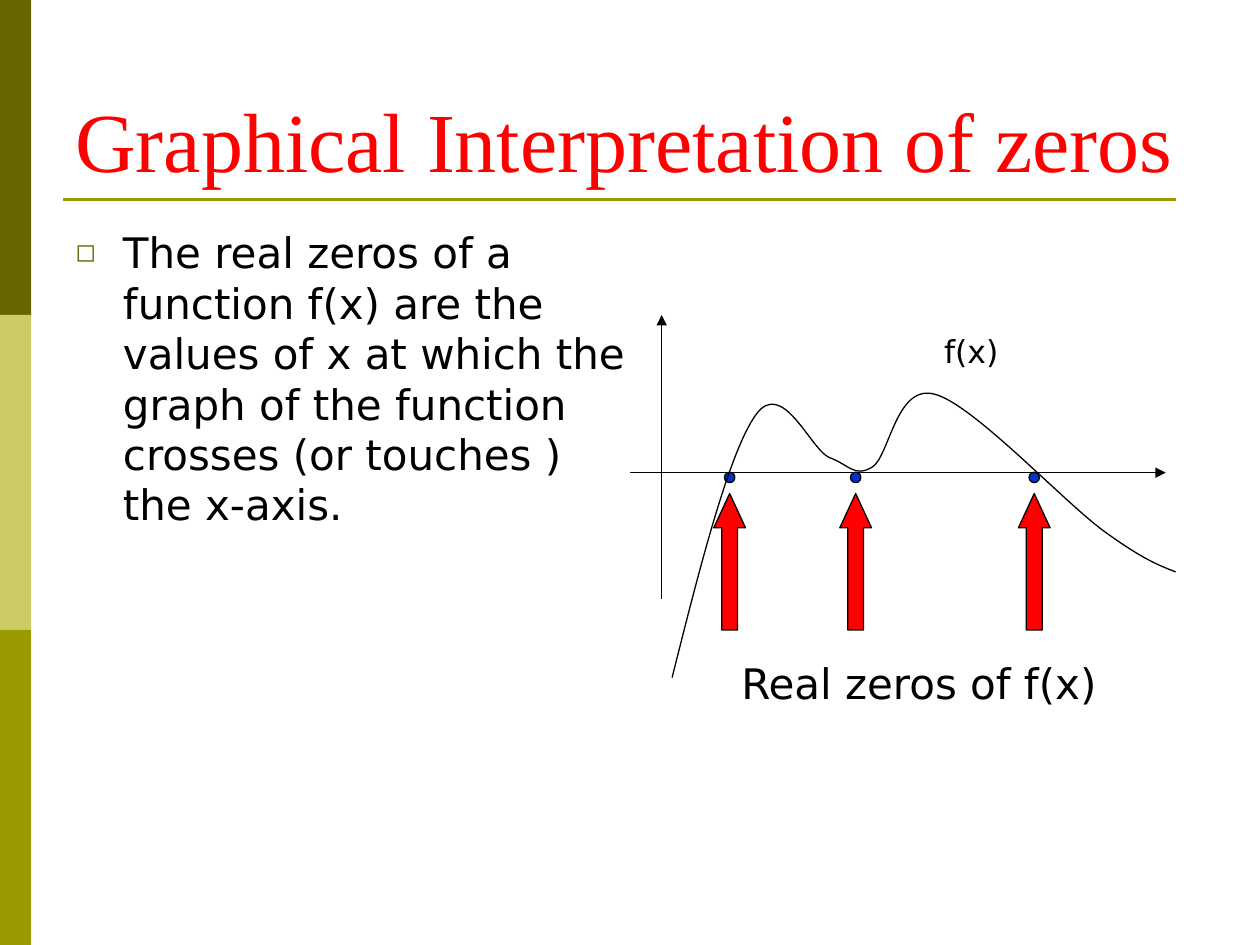
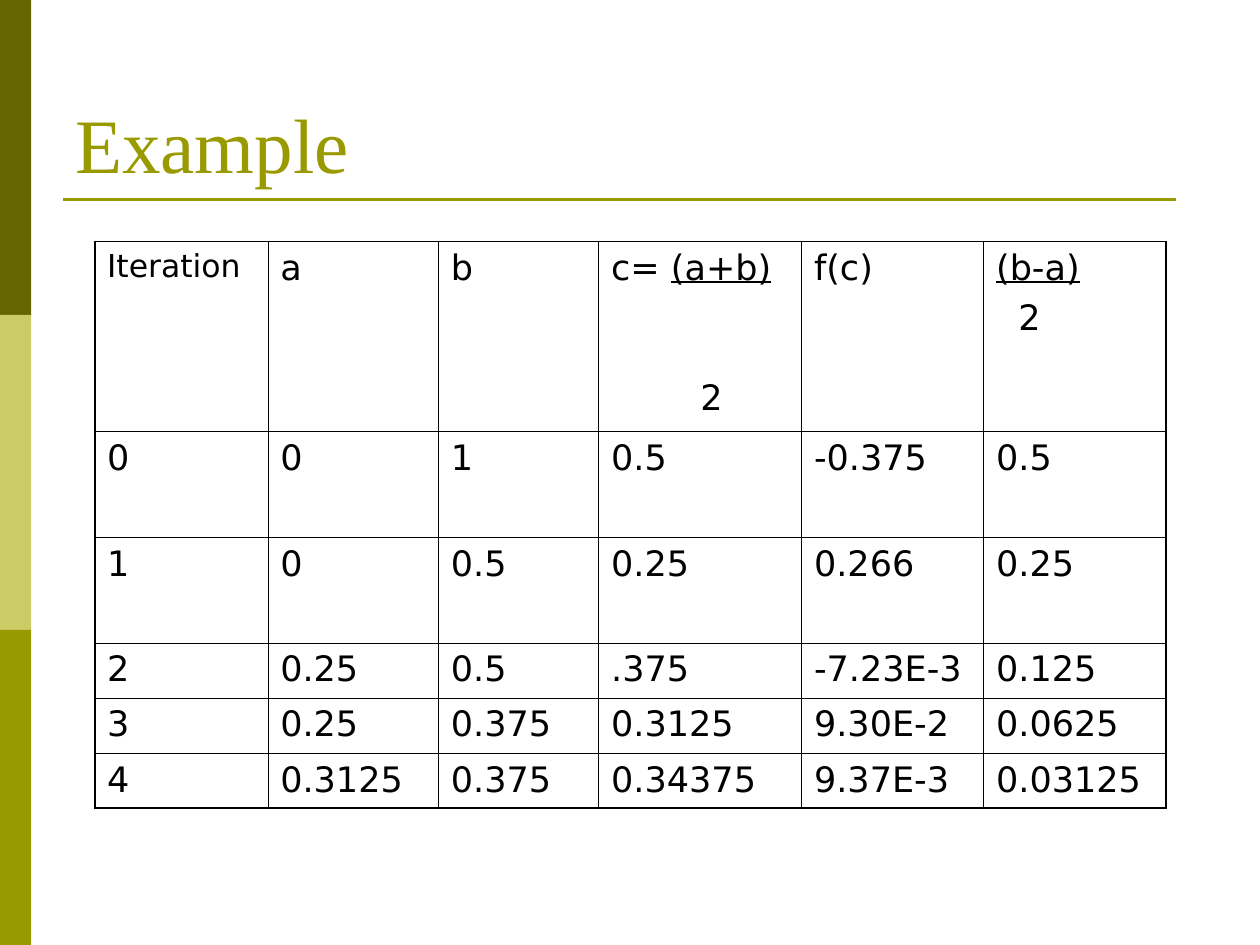
from dataclasses import dataclass
from typing import NamedTuple

import pptx
import pptx.dml.color
import pptx.enum.shapes
import pptx.enum.text
import pptx.oxml
import pptx.oxml.ns
import pptx.util

Cm, Pt = pptx.util.Cm, pptx.util.Pt
SHAPE = pptx.enum.shapes.MSO_SHAPE
ALIGN = pptx.enum.text.PP_ALIGN
ANCHOR = pptx.enum.text.MSO_ANCHOR
NS = pptx.oxml.ns.nsdecls("a")


@dataclass(frozen=True)
class Theme:
    dark_olive: str = "666600"
    pale_olive: str = "CCCC66"
    olive: str = "999900"
    red: str = "FF0000"
    blue: str = "0033CC"
    black: str = "000000"
    title_font: str = "Times New Roman"
    body_font: str = "DejaVu Sans"
    big_title: int = 48
    title: int = 44
    body: int = 24
    cell: int = 20
    small: int = 18
    rule: float = 1.5
    thin: float = 0.75
    frame: float = 1.08
    grid: float = 0.45


THEME = Theme()


class Box(NamedTuple):
    """Left, top, width and height in centimetres."""
    x: float
    y: float
    w: float
    h: float

    def lengths(self) -> tuple:
        return tuple(Cm(v) for v in self)


class Point(NamedTuple):
    x: float
    y: float


class Line(NamedTuple):
    text: str
    size: int = THEME.cell
    underline: bool = False
    indent: float = 0
    before: float = 0
    lead: str = ""


BANDS = (THEME.dark_olive, THEME.pale_olive, THEME.olive)
BAND_W, BAND_H = 0.63, 6.35
TITLE_BOX = Box(1.27, 0.76, 22.86, 3.18)

AXES = ((Point(13.34, 12.07), Point(13.34, 6.35)),
        (Point(12.7, 9.53), Point(23.5, 9.53)))
ZEROS_X = (14.71, 17.25, 20.85)
DOT_TOP, DOT_SIZE = 9.52, 0.21
ARROW_TOP, ARROW_W, ARROW_H = 9.95, 0.64, 2.75
CURVE_START = Point(13.55, 13.66)
# Each segment: two control points and the end point.
CURVE_SEGMENTS = (
    (Point(14.12, 11.38), Point(14.71, 9.09), Point(15.24, 8.36)),
    (Point(15.77, 7.62), Point(16.33, 9.04), Point(16.71, 9.22)),
    (Point(17.12, 9.37), Point(17.22, 9.63), Point(17.58, 9.42)),
    (Point(17.93, 9.22), Point(18.06, 7.72), Point(18.85, 7.95)),
    (Point(19.61, 8.15), Point(21.41, 10.08), Point(22.23, 10.69)),
    (Point(23.04, 11.28), Point(23.37, 11.4), Point(23.7, 11.53)),
)

TABLE_LEFT, TABLE_TOP = 1.91, 4.87
COL_W = (3.49, 3.44, 3.23, 4.09, 3.67, 3.67)
ROW_H = (3.83, 2.13, 2.13, 1.11, 1.11, 1.11)
HEADER = (
    (Line("Iteration", THEME.small),),
    (Line("a"),),
    (Line("b"),),
    (Line("(a+b)", underline=True, lead="c= "), Line("2", indent=1.8, before=51)),
    (Line("f(c)"),),
    (Line("(b-a)", underline=True), Line("2", indent=0.45, before=5)),
)
ITERATIONS = (
    ("0", "0", "1", "0.5", "-0.375", "0.5"),
    ("1", "0", "0.5", "0.25", "0.266", "0.25"),
    ("2", "0.25", "0.5", ".375", "-7.23E-3", "0.125"),
    ("3", "0.25", "0.375", "0.3125", "9.30E-2", "0.0625"),
    ("4", "0.3125", "0.375", "0.34375", "9.37E-3", "0.03125"),
)


def rgb(color: str):
    return pptx.dml.color.RGBColor.from_string(color)


def add_run(p, text: str, size: int, color: str = THEME.black,
            font: str = THEME.body_font, underline: bool = False) -> None:
    r = p.add_run()
    r.text = text
    r.font.size, r.font.name = Pt(size), font
    r.font.color.rgb = rgb(color)
    if underline:
        r.font.underline = True


def add_text(s, box: Box, text: str, size: int, color: str = THEME.black,
             font: str = THEME.body_font, align=ALIGN.LEFT, anchor=ANCHOR.TOP):
    tf = s.shapes.add_textbox(*box.lengths()).text_frame
    tf.word_wrap = True
    tf.vertical_anchor = anchor
    p = tf.paragraphs[0]
    p.alignment = align
    add_run(p, text, size, color, font)
    return p


def add_filled(s, kind, box: Box, fill: str, outlined: bool = False):
    sp = s.shapes.add_shape(kind, *box.lengths())
    sp.shadow.inherit = False
    sp.fill.solid()
    sp.fill.fore_color.rgb = rgb(fill)
    if outlined:
        sp.line.color.rgb = rgb(THEME.black)
        sp.line.width = Pt(THEME.thin)
    else:
        sp.line.fill.background()
    return sp


def add_line(s, start: Point, end: Point, color: str, width: float,
             arrow: bool = False) -> None:
    cx = s.shapes.add_connector(pptx.enum.shapes.MSO_CONNECTOR.STRAIGHT,
                                *(Cm(v) for v in start + end))
    cx.line.color.rgb = rgb(color)
    cx.line.width = Pt(width)
    if arrow:
        cx.line._get_or_add_ln().append(
            pptx.oxml.parse_xml(f'<a:tailEnd {NS} type="triangle"/>'))
    cx._element.spPr.append(pptx.oxml.parse_xml(f"<a:effectLst {NS}/>"))


def add_base_slide(prs, title: str, size: int, color: str):
    """Add a slide with the side bands, the rule and the title."""
    s = prs.slides.add_slide(prs.slide_layouts[6])
    for i, band in enumerate(BANDS):
        add_filled(s, SHAPE.RECTANGLE, Box(0, i * BAND_H, BAND_W, BAND_H), band)
    add_line(s, Point(1.27, 4.02), Point(23.7, 4.02), THEME.olive, THEME.rule)
    add_text(s, TITLE_BOX, title, size, color, THEME.title_font, anchor=ANCHOR.BOTTOM)
    return s


def add_bullet(p) -> None:
    pPr = p._p.get_or_add_pPr()
    pPr.set("marL", str(Cm(0.96)))
    pPr.set("indent", str(-Cm(0.96)))
    for xml in (f'<a:buClr {NS}><a:srgbClr val="{THEME.dark_olive}"/></a:buClr>',
                f'<a:buSzPct {NS} val="60000"/>',
                f'<a:buFont {NS} typeface="{THEME.body_font}"/>',
                f'<a:buChar {NS} char="◻"/>'):
        pPr.append(pptx.oxml.parse_xml(xml))


def add_curve(s) -> None:
    """Draw the segments as lines, then turn each three lines into one cubic."""
    builder = s.shapes.build_freeform(Cm(CURVE_START.x), Cm(CURVE_START.y))
    builder.add_line_segments(
        [(Cm(p.x), Cm(p.y)) for segment in CURVE_SEGMENTS for p in segment],
        close=False)
    sp = builder.convert_to_shape()
    lines = sp._element.xpath(".//a:lnTo")
    for i in range(0, len(lines), 3):
        cubic = pptx.oxml.parse_xml(f"<a:cubicBezTo {NS}/>")
        lines[i].addprevious(cubic)
        for line in lines[i:i + 3]:
            cubic.append(line[0])
            line.getparent().remove(line)
    sp.shadow.inherit = False
    sp.fill.background()
    sp.line.color.rgb = rgb(THEME.black)
    sp.line.width = Pt(THEME.thin)


def fill_cell(cell, lines: tuple) -> None:
    cell.margin_left = cell.margin_right = Cm(0.25)
    cell.margin_top = cell.margin_bottom = Cm(0.13)
    tf = cell.text_frame
    for i, line in enumerate(lines):
        p = tf.add_paragraph() if i else tf.paragraphs[0]
        if i:
            p.space_before = Pt(line.before)
            p._p.get_or_add_pPr().set("marL", str(Cm(line.indent)))
        if line.lead:
            add_run(p, line.lead, line.size)
        add_run(p, line.text, line.size, underline=line.underline)


def set_borders(cell, outer: dict) -> None:
    """Draw the four sides, thicker where the side is on the table's edge."""
    tcPr = cell._tc.get_or_add_tcPr()
    for side, is_outer in outer.items():
        width = Pt(THEME.frame if is_outer else THEME.grid)
        tcPr.append(pptx.oxml.parse_xml(
            f'<a:{side} {NS} w="{width}"><a:solidFill>'
            f'<a:srgbClr val="{THEME.black}"/></a:solidFill></a:{side}>'))
    cell.fill.background()


def add_iteration_table(s) -> None:
    rows = (HEADER,) + tuple(tuple((Line(v),) for v in row) for row in ITERATIONS)
    box = Box(TABLE_LEFT, TABLE_TOP, sum(COL_W), sum(ROW_H))
    table = s.shapes.add_table(len(rows), len(COL_W), *box.lengths()).table
    table.first_row = table.horz_banding = False
    for column, width in zip(table.columns, COL_W):
        column.width = Cm(width)
    for row, height in zip(table.rows, ROW_H):
        row.height = Cm(height)
    for i, row in enumerate(rows):
        for j, lines in enumerate(row):
            cell = table.cell(i, j)
            fill_cell(cell, lines)
            set_borders(cell, {"lnL": j == 0, "lnR": j == len(COL_W) - 1,
                               "lnT": i == 0, "lnB": i == len(rows) - 1})


def add_zeros_slide(prs) -> None:
    s = add_base_slide(prs, "Graphical Interpretation of zeros",
                       THEME.big_title, THEME.red)
    p = add_text(s, Box(1.27, 4.45, 11.63, 12.57),
                 "The real zeros of a function f(x) are the values of x at which "
                 "the graph of the function crosses (or touches ) the x-axis.",
                 THEME.body)
    add_bullet(p)
    for start, end in AXES:
        add_line(s, start, end, THEME.black, THEME.thin, arrow=True)
    for x in ZEROS_X:
        add_filled(s, SHAPE.OVAL, Box(x - DOT_SIZE / 2, DOT_TOP, DOT_SIZE, DOT_SIZE),
                   THEME.blue, outlined=True)
        arrow = add_filled(s, SHAPE.UP_ARROW,
                           Box(x - ARROW_W / 2, ARROW_TOP, ARROW_W, ARROW_H),
                           THEME.red, outlined=True)
        arrow.adjustments[0], arrow.adjustments[1] = 0.5, 1.08
    add_text(s, Box(13.76, 13.12, 9.53, 1.27), "Real zeros of f(x)", THEME.body,
             align=ALIGN.CENTER)
    add_text(s, Box(18.63, 6.56, 1.9, 1.02), "f(x)", THEME.small, align=ALIGN.CENTER)
    add_curve(s)


def add_example_slide(prs) -> None:
    s = add_base_slide(prs, "Example", THEME.title, THEME.olive)
    add_iteration_table(s)


def main() -> None:
    prs = pptx.Presentation()
    prs.slide_width, prs.slide_height = Cm(25.4), Cm(19.05)
    add_zeros_slide(prs)
    add_example_slide(prs)
    prs.save("out.pptx")


if __name__ == "__main__":
    main()
